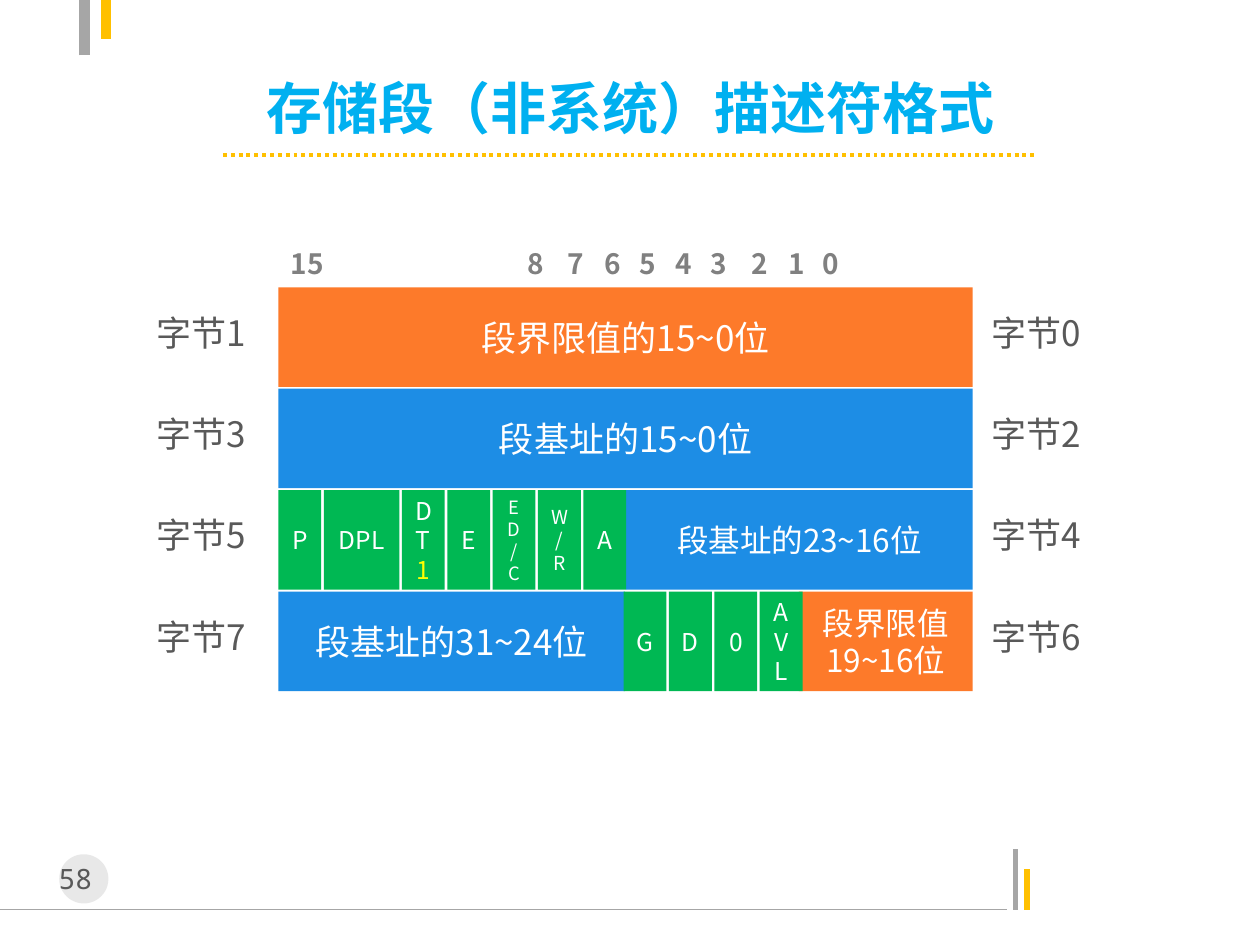
import pptx
import pptx.util
import pptx.dml.color
import pptx.enum.dml
import pptx.enum.shapes
import pptx.enum.text
import pptx.oxml
import pptx.oxml.ns

Inches = pptx.util.Inches
Align = pptx.enum.text.PP_ALIGN
Anchor = pptx.enum.text.MSO_ANCHOR
Shape = pptx.enum.shapes.MSO_SHAPE

THEME = {
    "font": "Noto Sans CJK SC", "mono": "Noto Sans Mono",
    "orange": "FD7A2A", "blue": "1D8DE5", "green": "00B853",
    "white": "FFFFFF", "yellow": "FFFF00", "gold": "FFC000",
    "title": "00B0F0", "text": "595959", "bits": "808080",
    "rule": "A6A6A6", "disc": "BFBFBF",
    "head": 32, "body": 20, "mid": 18, "small": 16, "flag": 14,
}

TITLE = "存储段（非系统）描述符格式"
PAGE = "58 "

# Bit number and its tab stop from the start of the scale
BITS = [("15", 0), ("8", 1.88), ("7", 2.2), ("6", 2.49), ("5", 2.77),
        ("4", 3.05), ("3", 3.33), ("2", 3.66), ("1", 3.95), ("0", 4.22)]

# Row, left, width, fill, text, size
FIELDS = [
    (0, 2.21, 5.51, "orange", "段界限值的15~0位", THEME["body"]),
    (1, 2.21, 5.51, "blue", "段基址的15~0位", THEME["body"]),
    (2, 4.97, 2.75, "blue", "段基址的23~16位", THEME["mid"]),
    (3, 2.21, 2.75, "blue", "段基址的31~24位", THEME["body"]),
    (3, 6.34, 1.38, "orange", "段界限值19~16位", THEME["mid"]),
]

# Row, left of the first flag, then (text, width, size)
NARROW = 0.34
FLAGS = [
    (2, 2.21, [("P", NARROW, 14), ("DPL", 0.6, 14), ("DT\n1", NARROW, 14),
               ("E", NARROW, 14), ("ED/C", NARROW, 10.5),
               ("W/R", NARROW, 11), ("A", NARROW, 14)]),
    (3, 4.95, [(name, NARROW, 14) for name in ("G", "D", "0", "AVL")]),
]

# Start, end, colour, width, dash
LINES = [
    ((0, 7.22), (7.99, 7.22), "rule", 0.75, None),
    ((8.06, 7.22), (8.06, 6.74), "rule", 3, None),
    ((8.15, 7.22), (8.15, 6.9), "gold", 3, None),
    ((0.67, 0.44), (0.67, 0), "rule", 6, None),
    ((0.84, 0), (0.84, 0.31), "gold", 6, None),
    ((1.77, 1.23), (8.23, 1.23), "gold", 2.25,
     pptx.enum.dml.MSO_LINE.ROUND_DOT),
]

ROWS, TOP, PITCH, HIGH, GAP = 4, 2.28, 0.805, 0.79, 0.02
LABEL_TOP = 2.42


def paint(name):
    return pptx.dml.color.RGBColor.from_string(THEME[name])


def child(parent, tag, **attrs):
    node = pptx.oxml.ns.qn(tag)
    item = parent.makeelement(node, attrs)
    parent.append(item)
    return item


def add_run(para, text, size, color, face="font", bold=False):
    run = para.add_run()
    run.text = text
    font = run.font
    font.size = pptx.util.Pt(size)
    font.bold = bold
    font.color.rgb = paint(color)
    font.name = THEME[face]
    child(run._r.get_or_add_rPr(), "a:ea", typeface=THEME[face])


def add_text(slide, box, text, size, color, align=Align.LEFT, **style):
    frame = slide.shapes.add_textbox(*map(Inches, box)).text_frame
    frame.word_wrap = True
    para = frame.paragraphs[0]
    para.alignment = align
    add_run(para, text, size, color, **style)
    return para


def add_block(slide, kind, box, fill):
    shape = slide.shapes.add_shape(kind, *map(Inches, box))
    shape.shadow.inherit = False
    shape.fill.solid()
    shape.fill.fore_color.rgb = paint(fill)
    shape.line.fill.background()
    return shape


def add_field(slide, row, left, width, fill, text, size):
    """Add one cell of the descriptor; a second line of text is a set value."""
    box = (left, TOP + row * PITCH, width, HIGH)
    frame = add_block(slide, Shape.RECTANGLE, box, fill).text_frame
    frame.word_wrap = True
    frame.vertical_anchor = Anchor.MIDDLE
    for i, line in enumerate(text.split("\n")):
        para = frame.add_paragraph() if i else frame.paragraphs[0]
        para.alignment = Align.CENTER
        add_run(para, line, size, "yellow" if i else "white")


def add_line(slide, start, end, color, width, dash):
    line = slide.shapes.add_connector(
        pptx.enum.shapes.MSO_CONNECTOR.STRAIGHT,
        *map(Inches, start + end))
    line.line.color.rgb = paint(color)
    line.line.width = pptx.util.Pt(width)
    if dash:
        line.line.dash_style = dash
    child(line._element.spPr, "a:effectLst")


def add_title(slide):
    title = slide.shapes.title
    title.left, title.top, title.width, title.height = map(
        Inches, (1.38, 0.6, 7.25, 0.5))
    frame = title.text_frame
    frame.auto_size = pptx.enum.text.MSO_AUTO_SIZE.NONE
    frame.word_wrap = False
    frame.vertical_anchor = Anchor.MIDDLE
    para = frame.paragraphs[0]
    para.alignment = Align.CENTER
    add_run(para, TITLE, THEME["head"], "title", bold=True)


def add_page(slide):
    disc = add_block(slide, Shape.OVAL, (0.47, 6.78, 0.39, 0.39), "disc")
    tint = disc._element.spPr.find(".//" + pptx.oxml.ns.qn("a:srgbClr"))
    child(tint, "a:alpha", val="35000")
    add_text(slide, (0.31, 6.79, 0.71, 0.37), PAGE, THEME["small"], "text",
             Align.CENTER, face="mono")


def add_scale(slide):
    text = "\t".join(bit for bit, stop in BITS)
    para = add_text(slide, (2.21, 1.91, 5.56, 0.37), text, THEME["small"],
                    "bits", bold=True)
    tabs = child(para._p.get_or_add_pPr(), "a:tabLst")
    for bit, stop in BITS[1:]:
        child(tabs, "a:tab", pos=str(Inches(stop)), algn="l")


def main():
    deck = pptx.Presentation()
    deck.slide_width, deck.slide_height = Inches(10), Inches(7.5)
    slide = deck.slides.add_slide(deck.slide_layouts.get_by_name("Title Only"))
    add_title(slide)
    for line in LINES:
        add_line(slide, *line)
    add_page(slide)
    for field in FIELDS:
        add_field(slide, *field)
    for left, odd in ((7.77, 0), (1.14, 1)):
        for row in range(ROWS):
            box = (left, LABEL_TOP + row * PITCH, 0.93, 0.44)
            add_text(slide, box, f"字节{2 * row + odd}", THEME["body"], "text")
    add_scale(slide)
    for row, left, flags in FLAGS:
        for text, width, size in flags:
            add_field(slide, row, left, width, "green", text, size)
            left += width + GAP
    deck.save("out.pptx")


if __name__ == "__main__":
    main()
